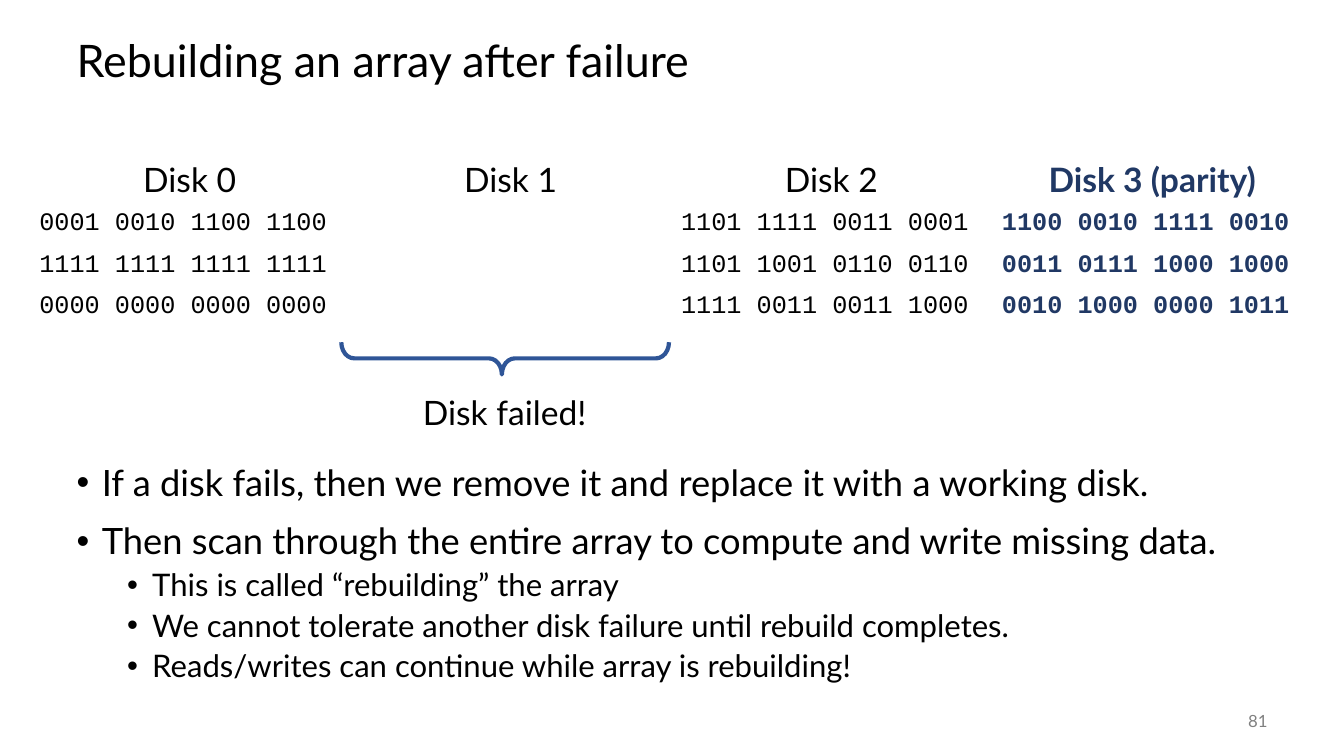
"""Build the slide on rebuilding a disk array after a failure."""
from lxml.etree import SubElement
from pptx import Presentation
from pptx.dml.color import RGBColor
from pptx.enum.shapes import MSO_SHAPE as Shape
from pptx.enum.text import MSO_ANCHOR as Anchor, MSO_AUTO_SIZE as AutoSize, PP_ALIGN as Align
from pptx.oxml.ns import qn
from pptx.util import Inches, Pt

COLORS = {"text": "000000", "parity": "203864", "brace": "2F5597", "number": "808080"}
DISKS = {
    "Disk 0": ["0001 0010 1100 1100", "1111 1111 1111 1111", "0000 0000 0000 0000"],
    "Disk 1": ["", "", ""],
    "Disk 2": ["1101 1111 0011 0001", "1101 1001 0110 0110", "1111 0011 0011 1000"],
    "Disk 3 (parity)": ["1100 0010 1111 0010", "0011 0111 1000 1000", "0010 1000 0000 1011"],
}
BULLETS = [
    (0, "If a disk fails, then we remove it and replace it with a working disk."),
    (0, "Then scan through the entire array to compute and write missing data."),
    (1, "This is called “rebuilding” the array"),
    (1, "We cannot tolerate another disk failure until rebuild completes."),
    (1, "Reads/writes can continue while array is rebuilding!"),
]


def style_paragraph(paragraph, size, color="text", name="Lato", bold=False, align=Align.LEFT):
    paragraph.alignment = align
    font = paragraph.font
    for target in [font] + [run.font for run in paragraph.runs]:
        target.size, target.name, target.bold = Pt(size), name, bold
        target.color.rgb = RGBColor.from_string(COLORS[color])


def place(shape, left, top, width, height):
    shape.left, shape.top = Inches(left), Inches(top)
    shape.width, shape.height = Inches(width), Inches(height)


presentation = Presentation()
presentation.slide_width, presentation.slide_height = Inches(13.33), Inches(7.5)
slide = presentation.slides.add_slide(presentation.slide_layouts[1])

title = slide.shapes.title
place(title, 0.66, 0.25, 12, 0.75)
title.text_frame.text = "Rebuilding an array after failure"
title.text_frame.vertical_anchor = Anchor.MIDDLE
title.text_frame.auto_size = AutoSize.NONE
title.text_frame.paragraphs[0].line_spacing = 0.9
style_paragraph(title.text_frame.paragraphs[0], 32)

body = slide.placeholders[1]
place(body, 0.66, 4.56, 12, 2.71)
body.text_frame.text = "\n".join(text for level, text in BULLETS)
body.text_frame.auto_size = AutoSize.NONE
for index, (level, text) in enumerate(BULLETS):
    paragraph = body.text_frame.paragraphs[index]
    properties = paragraph._p.get_or_add_pPr()
    properties.set("marL", str(Inches(0.25 + 0.5 * level)))
    properties.set("indent", str(Inches(-0.25)))
    SubElement(properties, qn("a:buFont"), typeface="Arial")
    SubElement(properties, qn("a:buChar"), char="•")
    paragraph.level = level
    paragraph.line_spacing = 0.9
    paragraph.space_before = Pt(0 if index == 0 else 5 if level else 14)
    style_paragraph(paragraph, 22.2 if level else 25.9)

table = slide.shapes.add_table(
    4, len(DISKS), Inches(0.29), Inches(1.53), Inches(12.73), Inches(1.64)
).table
table.first_row = table.horz_banding = False
for row in table.rows:
    row.height = Inches(0.41)
for column, (disk, data) in enumerate(DISKS.items()):
    is_parity = "parity" in disk
    color = "parity" if is_parity else "text"
    for row, text in enumerate([disk] + data):
        cell = table.cell(row, column)
        cell.fill.background()
        cell.text_frame.text = text
        paragraph = cell.text_frame.paragraphs[0]
        if row == 0:
            style_paragraph(paragraph, 24, color, bold=is_parity, align=Align.CENTER)
        else:
            style_paragraph(paragraph, 18, color, "Courier New", is_parity)

brace = slide.shapes.add_shape(
    Shape.LEFT_BRACE, Inches(4.85), Inches(1.93), Inches(0.32), Inches(3.25)
)
brace.rotation = 270
brace.adjustments[0], brace.adjustments[1] = 0.4, 0.49
brace.shadow.inherit = False
brace.fill.background()
brace.line.color.rgb = RGBColor.from_string(COLORS["brace"])
brace.line.width = Pt(3)

labels = [
    ("Disk failed!", (3.38, 3.84, 3.25, 0.5), 24, "text", Align.CENTER, Anchor.TOP),
    ("81", (11.67, 6.95, 1, 0.4), 12, "number", Align.RIGHT, Anchor.MIDDLE),
]
for text, position, size, color, align, anchor in labels:
    label = slide.shapes.add_textbox(*map(Inches, position))
    label.text_frame.word_wrap = True
    label.text_frame.vertical_anchor = anchor
    label.text_frame.text = text
    style_paragraph(label.text_frame.paragraphs[0], size, color, align=align)

presentation.save("out.pptx")
